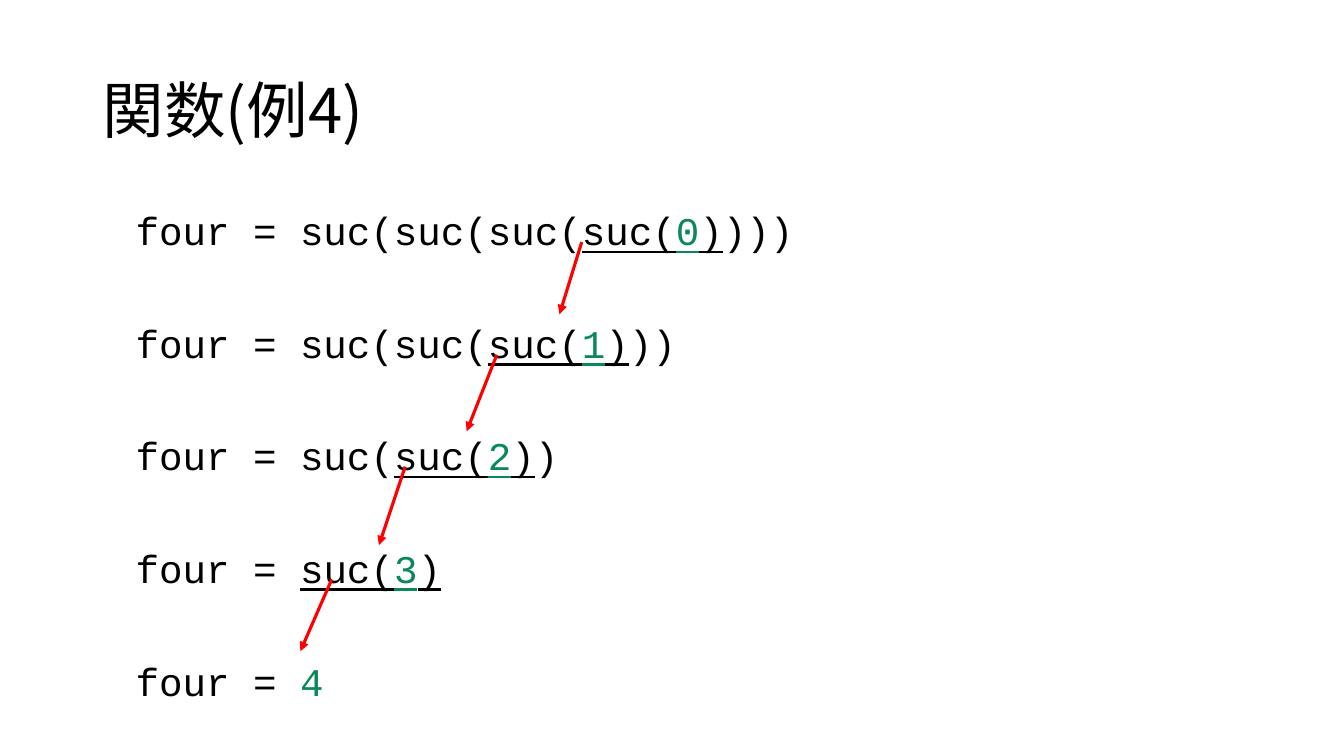
from lxml.etree import SubElement
from pptx import Presentation
from pptx.dml.color import RGBColor
from pptx.enum.shapes import MSO_CONNECTOR
from pptx.enum.text import MSO_ANCHOR, PP_ALIGN
from pptx.oxml.ns import qn
from pptx.util import Cm, Pt


def color(value):
    return RGBColor.from_string(value)


BLACK, GREEN, RED = "000000", "09885A", "FF0000"
TITLE_FONT, CODE_FONT = "Noto Sans CJK JP", "Courier New"
TARGET = 4

presentation = Presentation()
presentation.slide_width = Cm(33.87)
presentation.slide_height = Cm(19.05)
slide = presentation.slides.add_slide(presentation.slide_layouts[5])

title = slide.shapes.title
title.left, title.top, title.width, title.height = Cm(2.33), Cm(1.01), Cm(29.21), Cm(3.68)
title.text_frame.vertical_anchor = MSO_ANCHOR.MIDDLE
title.text_frame.word_wrap = True
paragraph = title.text_frame.paragraphs[0]
paragraph.alignment = PP_ALIGN.LEFT
paragraph.line_spacing = 0.9
run = paragraph.add_run()
run.text = "関数(例4)"
run.font.size = Pt(44)
run.font.name = TITLE_FONT
run.font.color.rgb = color(BLACK)
SubElement(run.font._element, qn("a:ea"), typeface=TITLE_FONT)

code = slide.shapes.add_textbox(Cm(2.33), Cm(5.07), Cm(29.21), Cm(13.46))
code.text_frame.word_wrap = True
for step in range(TARGET + 1):
    paragraph = code.text_frame.paragraphs[0] if step == 0 else code.text_frame.add_paragraph()
    paragraph._p.get_or_add_pPr().set("marL", str(Cm(0.84)))
    paragraph.line_spacing = Pt(34)
    paragraph.space_before = Pt(46.4 if step else 0)
    paragraph.font.size = Pt(28)
    paragraph.font.name = CODE_FONT
    outer = TARGET - step - 1
    pieces = [("four = " + "suc(" * outer, BLACK, False)]
    if step < TARGET:
        pieces += [("suc(", BLACK, True), (str(step), GREEN, True), (")", BLACK, True)]
        if outer:
            pieces.append((")" * outer, BLACK, False))
    else:
        pieces.append((str(step), GREEN, False))
    for text, ink, underlined in pieces:
        run = paragraph.add_run()
        run.text = text
        run.font.size = Pt(28)
        run.font.name = CODE_FONT
        run.font.color.rgb = color(ink)
        run.font.underline = underlined

arrows = [
    (14.66, 6.1, 14.1, 7.92),
    (12.52, 8.94, 11.76, 10.87),
    (10.21, 11.76, 9.55, 13.74),
    (8.36, 14.6, 7.57, 16.41),
]
for ends in arrows:
    arrow = slide.shapes.add_connector(MSO_CONNECTOR.STRAIGHT, *[Cm(end) for end in ends])
    arrow.line.color.rgb = color(RED)
    arrow.line.width = Pt(2.25)
    SubElement(arrow.line._get_or_add_ln(), qn("a:tailEnd"), type="triangle")
    SubElement(arrow._element.spPr, qn("a:effectLst"))

presentation.save("out.pptx")
